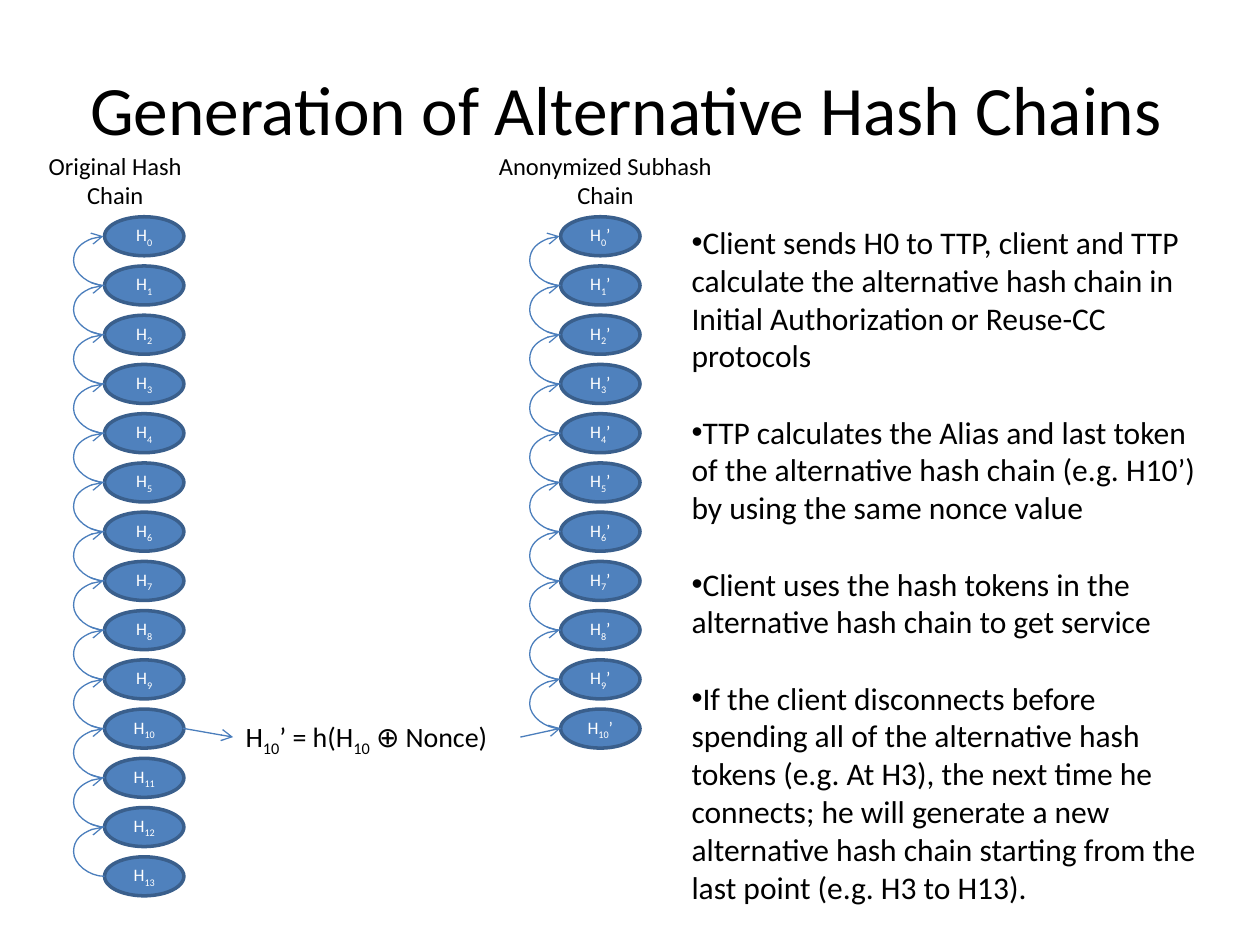
from lxml import etree
from pptx import Presentation
from pptx.dml.color import RGBColor
from pptx.enum.shapes import MSO_CONNECTOR as LINK, MSO_SHAPE as SHAPE
from pptx.enum.text import MSO_ANCHOR as ANCHOR, PP_ALIGN as ALIGN
from pptx.oxml.ns import qn
from pptx.util import Inches, Pt

COLORS = {"black": "000000", "white": "FFFFFF", "node": "4F81BD",
          "outline": "3A5F8C", "arrow": "4B7EBC"}

deck = Presentation()
deck.slide_width, deck.slide_height = Inches(10), Inches(7.5)
page = deck.slides.add_slide(deck.slide_layouts[6])


def add_spans(para, size, color, *texts):
    """Add text runs; every second one is a subscript."""
    for index, text in enumerate(texts):
        span = para.add_run()
        span.text = text
        span.font.name = "Calibri"
        span.font.size = Pt(size)
        span.font.color.rgb = RGBColor.from_string(COLORS[color])
        if index % 2:
            span.font._element.set("baseline", "-25000")


def add_arrow(kind, x1, y1, x2, y2):
    arrow = page.shapes.add_connector(kind, Inches(x1), Inches(y1), Inches(x2), Inches(y2))
    arrow.line.color.rgb = RGBColor.from_string(COLORS["arrow"])
    arrow.line.width = Pt(0.75)
    etree.SubElement(arrow.line._get_or_add_ln(), qn("a:tailEnd"), type="arrow")
    etree.SubElement(arrow._element.spPr, qn("a:effectLst"))
    return arrow


# Title
title = page.shapes.add_textbox(Inches(0.47), Inches(0.23), Inches(9), Inches(1.25))
title.text_frame.word_wrap = True
title.text_frame.vertical_anchor = ANCHOR.MIDDLE
para = title.text_frame.paragraphs[0]
para.alignment = ALIGN.CENTER
add_spans(para, 39.6, "black", "Generation of Alternative Hash Chains")

# Hash chains: label, label left and width, node left, node count, suffix
chains = [("Original Hash", 0.28, 1.27, 0.83, 14, ""),
          ("Anonymized Subhash", 3.85, 1.91, 4.45, 11, "’")]
top, node_width, node_height = 1.72, 0.63, 0.31
pitch = 5.08 / 13
bulge, span_width = 0.25, 0.01

for label, label_left, label_width, left, count, suffix in chains:
    box = page.shapes.add_textbox(Inches(label_left), Inches(1.15),
                                  Inches(label_width), Inches(0.57))
    box.text_frame.word_wrap = False
    for index, text in enumerate((label, "Chain")):
        para = box.text_frame.add_paragraph() if index else box.text_frame.paragraphs[0]
        para.alignment = ALIGN.CENTER
        add_spans(para, 14, "black", text)

    for number in range(count):
        node_top = top + number * pitch
        node = page.shapes.add_shape(SHAPE.OVAL, Inches(left), Inches(node_top),
                                     Inches(node_width), Inches(node_height))
        node.shadow.inherit = False
        node.fill.solid()
        node.fill.fore_color.rgb = RGBColor.from_string(COLORS["node"])
        node.line.color.rgb = RGBColor.from_string(COLORS["outline"])
        node.line.width = Pt(2)
        frame = node.text_frame
        frame.margin_left = frame.margin_right = 0
        frame.vertical_anchor = ANCHOR.MIDDLE
        para = frame.paragraphs[0]
        para.alignment = ALIGN.CENTER
        texts = ["H", str(number)] + ([suffix] if suffix else [])
        add_spans(para, 10, "white", *texts)

        # Curved arrow up to the previous node, bulging to the left
        if number:
            middle = node_top + node_height / 2
            curve = add_arrow(LINK.CURVE, left - span_width, middle - pitch, left, middle)
            curve._element.spPr.xfrm.set("rot", "10800000")
            guides = curve._element.spPr.find(qn("a:prstGeom")).get_or_add_avLst()
            etree.SubElement(guides, qn("a:gd"), name="adj1",
                             fmla=f"val {round(bulge / span_width * 100000)}")

# Formula linking the two chains
formula = page.shapes.add_textbox(Inches(1.85), Inches(5.66), Inches(2.28), Inches(0.37))
formula.text_frame.word_wrap = True
add_spans(formula.text_frame.paragraphs[0], 16, "black",
          "H", "10", "’ = h(H", "10", " ⊕ Nonce)")
add_arrow(LINK.STRAIGHT, 1.45, 5.78, 1.85, 5.85)
add_arrow(LINK.STRAIGHT, 4.13, 5.85, 4.45, 5.78)

# Explanation
points = [
    "Client sends H0 to TTP, client and TTP calculate the alternative hash chain in "
    "Initial Authorization or Reuse-CC protocols",
    "TTP calculates the Alias and last token of the alternative hash chain (e.g. H10’) "
    "by using the same nonce value",
    "Client uses the hash tokens in the alternative hash chain to get service",
    "If the client disconnects before spending all of the alternative hash tokens "
    "(e.g. At H3), the next time he connects; he will generate a new alternative hash "
    "chain starting from the last point (e.g. H3 to H13).",
]
box = page.shapes.add_textbox(Inches(5.39), Inches(1.72), Inches(4.22), Inches(5.55))
box.text_frame.word_wrap = True
for index, point in enumerate(points):
    para = box.text_frame.add_paragraph() if index else box.text_frame.paragraphs[0]
    if index:
        para.space_before = Pt(22)
    props = para._p.get_or_add_pPr()
    etree.SubElement(props, qn("a:buFont"), typeface="Arial")
    etree.SubElement(props, qn("a:buChar"), char="•")
    add_spans(para, 18, "black", point)

deck.save("out.pptx")
